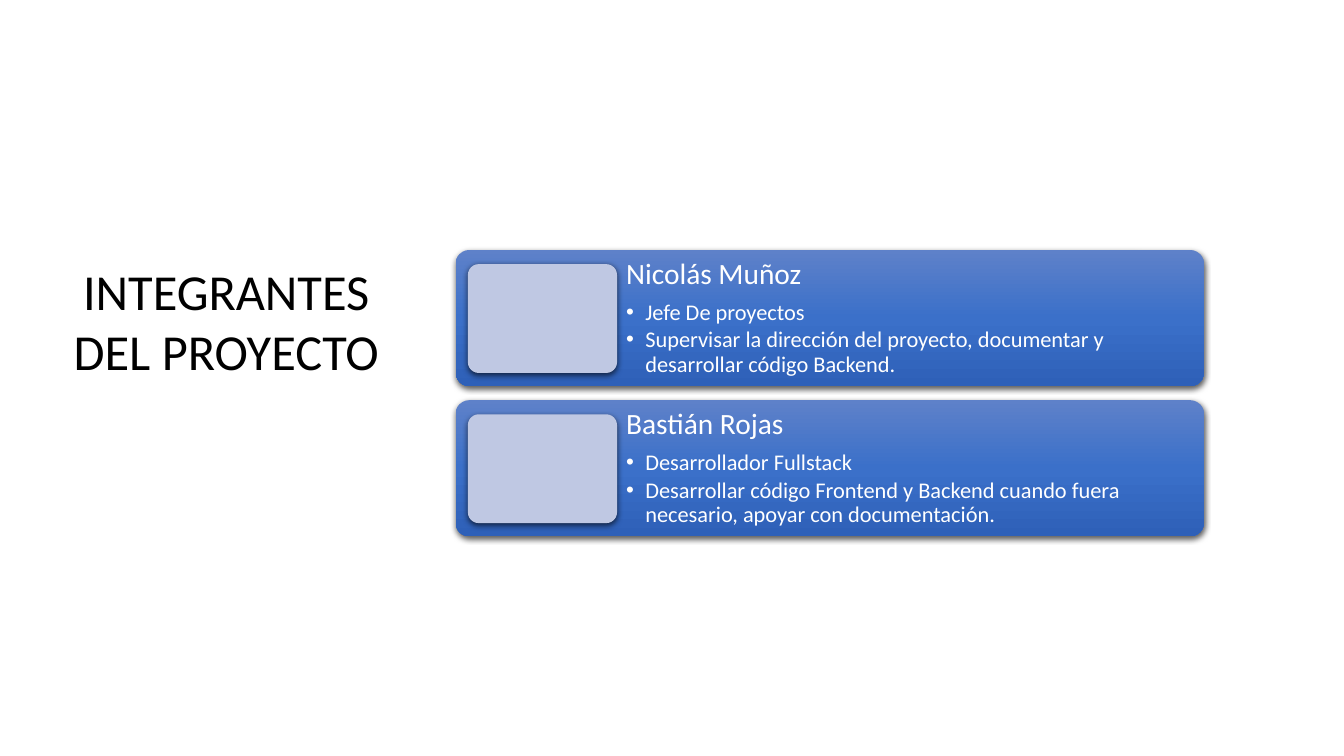
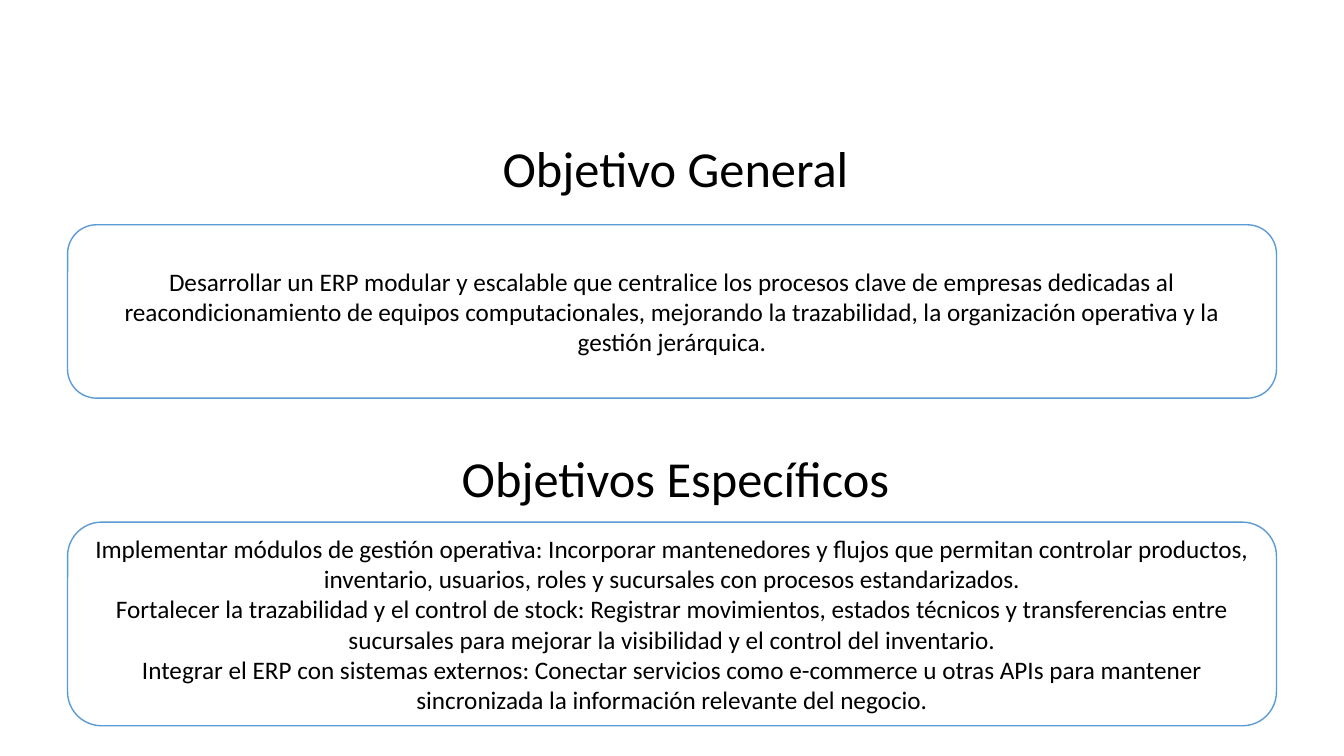
from dataclasses import dataclass

from lxml.etree import SubElement
from pptx import Presentation
from pptx.dml.color import RGBColor
from pptx.enum.shapes import MSO_SHAPE
from pptx.enum.text import MSO_ANCHOR, MSO_AUTO_SIZE, PP_ALIGN
from pptx.oxml.ns import qn
from pptx.util import Emu, Pt

# Content
TEAM_TITLE = "INTEGRANTES DEL PROYECTO"
TEAM = [
    ("Nicolás Muñoz", [
        "Jefe De proyectos",
        "Supervisar la dirección del proyecto, documentar y desarrollar código Backend.",
    ]),
    ("Bastián Rojas", [
        "Desarrollador Fullstack",
        "Desarrollar código Frontend y Backend cuando fuera necesario, "
        "apoyar con documentación.",
    ]),
]
# Heading, heading top, panel top, panel height, paragraphs
GOALS = [
    ("Objetivo General", 131, 223, 172, [
        "Desarrollar un ERP modular y escalable que centralice los procesos clave de "
        "empresas dedicadas al reacondicionamiento de equipos computacionales, mejorando "
        "la trazabilidad, la organización operativa y la gestión jerárquica.",
    ]),
    ("Objetivos Específicos", 439, 518, 202, [
        "Implementar módulos de gestión operativa: Incorporar mantenedores y flujos que "
        "permitan controlar productos, inventario, usuarios, roles y sucursales con "
        "procesos estandarizados.",
        "Fortalecer la trazabilidad y el control de stock: Registrar movimientos, estados "
        "técnicos y transferencias entre sucursales para mejorar la visibilidad y el "
        "control del inventario.",
        "Integrar el ERP con sistemas externos: Conectar servicios como e-commerce u otras "
        "APIs para mantener sincronizada la información relevante del negocio.",
    ]),
]


@dataclass(frozen=True)
class Theme:
    font: str = "Calibri"
    ink: str = "000000"
    paper: str = "FFFFFF"
    outline: str = "5B9BD5"
    photo: str = "BFC8E3"
    card: tuple = ((0, "5E81C9"), (50, "3B70C9"), (100, "2E60B8"))
    title_size: int = 36
    name_size: int = 21
    body_size: int = 18
    duty_size: int = 16


THEME = Theme()

# Layout, in px at 100 px to the inch
PX = 9144
SLIDE_W, SLIDE_H = 1333, 750
TITLE_BOX = (61, 253, 327, 131)
CARD_X, CARD_Y, CARD_W, CARD_H, CARD_PITCH = 452, 248, 742, 135, 149
PHOTO_DX, PHOTO_DY, PHOTO_W, PHOTO_H = 12, 14, 148, 108
DUTY_INDENT = 19
HEADING_X, HEADING_W, HEADING_H = 17, 1306, 71
PANEL_X, PANEL_W = 67, 1199


def px(*lengths):
    return [Emu(length * PX) for length in lengths]


def add_run(paragraph, text, size, color):
    run = paragraph.add_run()
    run.text = text
    run.font.name = THEME.font
    run.font.size = Pt(size)
    run.font.color.rgb = RGBColor.from_string(color)


def set_frame(shape, across, down, anchor=MSO_ANCHOR.TOP):
    frame = shape.text_frame
    frame.word_wrap = True
    frame.auto_size = MSO_AUTO_SIZE.NONE
    frame.vertical_anchor = anchor
    frame.margin_left, frame.margin_right = px(across, across)
    frame.margin_top, frame.margin_bottom = px(down, down)
    return frame


def paragraphs_for(frame, count):
    return [frame.paragraphs[0]] + [frame.add_paragraph() for _ in range(count - 1)]


def format_heading(shape, box, text):
    shape.left, shape.top, shape.width, shape.height = px(*box)
    heading = set_frame(shape, 10, 5).paragraphs[0]
    heading.alignment = PP_ALIGN.CENTER
    add_run(heading, text, THEME.title_size, THEME.ink)


def add_round_rect(slide, box, radius, fill=None):
    shape = slide.shapes.add_shape(MSO_SHAPE.ROUNDED_RECTANGLE, *px(*box))
    shape.adjustments[0] = radius
    shape.shadow.inherit = False
    if fill:
        shape.fill.solid()
        shape.fill.fore_color.rgb = RGBColor.from_string(fill)
    shape.line.fill.background()
    return shape


def add_shadow(shape):
    effects = shape.element.spPr.find(qn("a:effectLst"))
    shadow = SubElement(effects, qn("a:outerShdw"), blurRad=str(Pt(4.5)),
                        dist=str(Pt(1.5)), dir="5400000", rotWithShape="0")
    color = SubElement(shadow, qn("a:srgbClr"), val=THEME.ink)
    SubElement(color, qn("a:alpha"), val="63000")


def fill_gradient(shape, stops):
    shape.fill.gradient()
    shape.fill.gradient_angle = 270
    stop_list = shape.element.spPr.find(qn("a:gradFill")).find(qn("a:gsLst"))
    for old_stop in list(stop_list):
        stop_list.remove(old_stop)
    for position, color in stops:
        stop = SubElement(stop_list, qn("a:gs"), pos=str(position * 1000))
        SubElement(stop, qn("a:srgbClr"), val=color)


def add_bullet(paragraph):
    properties = paragraph._p.get_or_add_pPr()
    indent = DUTY_INDENT * PX
    properties.set("marL", str(indent))
    properties.set("indent", str(-indent))
    color = SubElement(properties, qn("a:buClr"))
    SubElement(color, qn("a:srgbClr"), val=THEME.paper)
    SubElement(properties, qn("a:buFont"), typeface="Arial")
    SubElement(properties, qn("a:buChar"), char="•")


def add_member(slide, top, name, duties):
    card = add_round_rect(slide, (CARD_X, top, CARD_W, CARD_H), 0.1)
    fill_gradient(card, THEME.card)
    add_shadow(card)

    # Name and duties, right of the photo
    text_dx = PHOTO_DX + PHOTO_W
    profile = slide.shapes.add_textbox(
        *px(CARD_X + text_dx, top, CARD_W - text_dx, CARD_H))
    frame = set_frame(profile, 9, 9)
    name_line, *duty_lines = paragraphs_for(frame, 1 + len(duties))
    name_line.line_spacing = 0.9
    add_run(name_line, name, THEME.name_size, THEME.paper)
    for index, (line, duty) in enumerate(zip(duty_lines, duties)):
        line.line_spacing = 0.9
        line.space_before = Pt(2.4 if index else 7.3)
        add_bullet(line)
        add_run(line, duty, THEME.duty_size, THEME.paper)

    photo_box = (CARD_X + PHOTO_DX, top + PHOTO_DY, PHOTO_W, PHOTO_H)
    add_shadow(add_round_rect(slide, photo_box, 0.1, THEME.photo))


def add_panel(slide, top, height, texts):
    panel = add_round_rect(slide, (PANEL_X, top, PANEL_W, height), 0.167, THEME.paper)
    panel.line.color.rgb = RGBColor.from_string(THEME.outline)
    panel.line.width = Pt(1)
    frame = set_frame(panel, 10, 5, MSO_ANCHOR.MIDDLE)
    for line, text in zip(paragraphs_for(frame, len(texts)), texts):
        line.alignment = PP_ALIGN.CENTER
        add_run(line, text, THEME.body_size, THEME.ink)


def build_team(slide):
    format_heading(slide.shapes.title, TITLE_BOX, TEAM_TITLE)
    for index, (name, duties) in enumerate(TEAM):
        add_member(slide, CARD_Y + index * CARD_PITCH, name, duties)


def build_goals(slide):
    for index, (heading, heading_top, panel_top, height, texts) in enumerate(GOALS):
        box = (HEADING_X, heading_top, HEADING_W, HEADING_H)
        # The first heading is the slide title
        holder = slide.shapes.add_textbox(*px(*box)) if index else slide.shapes.title
        format_heading(holder, box, heading)
        add_panel(slide, panel_top, height, texts)


def main():
    deck = Presentation()
    deck.slide_width, deck.slide_height = px(SLIDE_W, SLIDE_H)
    title_only = deck.slide_layouts[5]
    for build in (build_team, build_goals):
        build(deck.slides.add_slide(title_only))
    deck.save("out.pptx")


if __name__ == "__main__":
    main()
